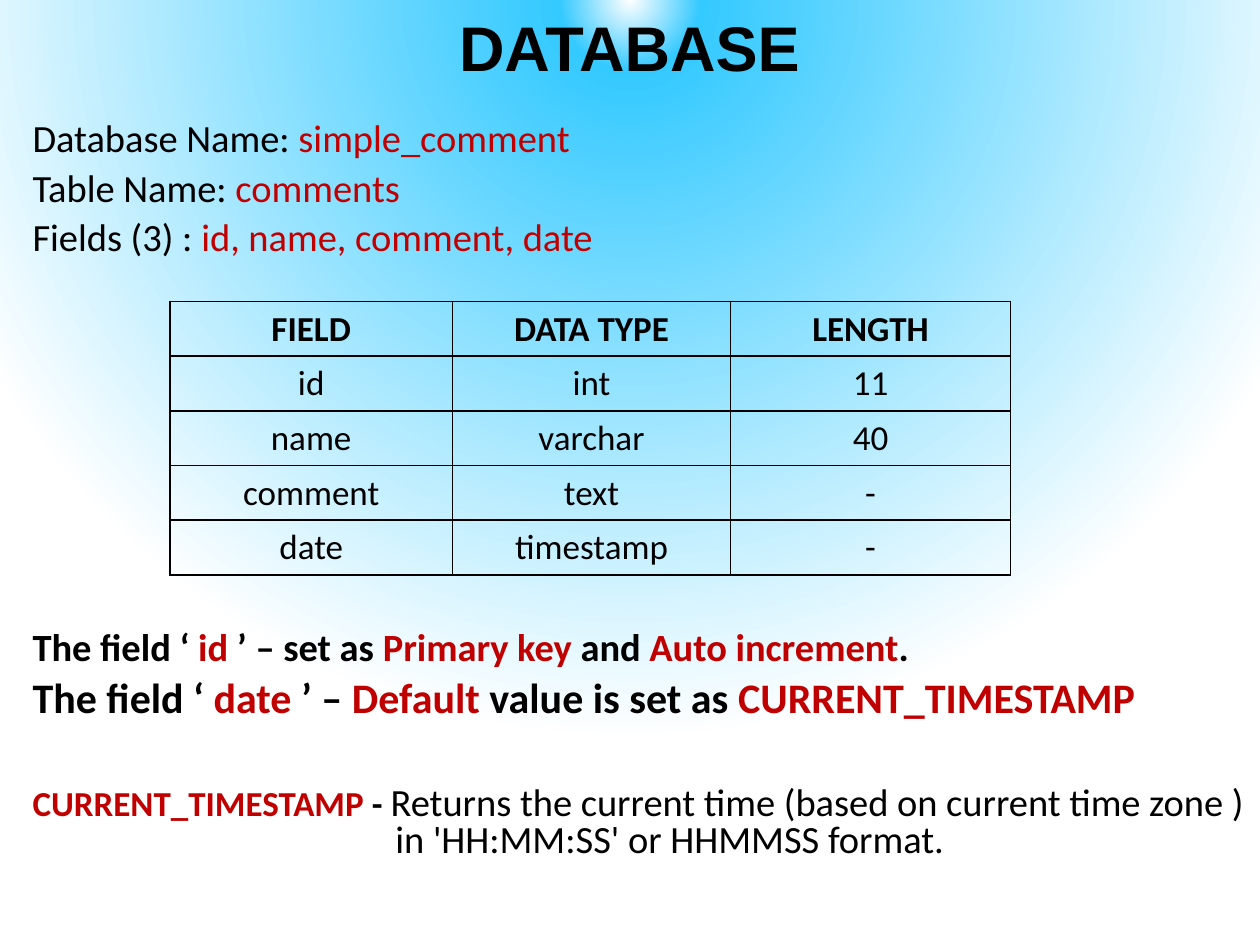
from dataclasses import dataclass
from typing import NamedTuple

from lxml import etree
from pptx import Presentation, util as u
from pptx.dml.color import RGBColor
from pptx.enum import text
from pptx.oxml import parse_xml
from pptx.oxml.ns import qn

WIDE, HIGH = 10, 7.5
NS = "http://schemas.openxmlformats.org/drawingml/2006/main"


@dataclass(frozen=True)
class Theme:
    ink: str = "000000"
    red: str = "C00000"
    stops: tuple = ((0, "FFFFFF"), (9, "34C9FF"), (94, "FFFFFF"))
    head: str = "Arial"
    body: str = "Calibri"
    title: int = 36
    big: int = 24
    text: int = 22
    small: int = 20


class Run(NamedTuple):
    words: str
    color: str
    size: int
    bold: bool = False


class Line(NamedTuple):
    runs: list
    gap: float = 7
    hang: float = 0


class Box(NamedTuple):
    """Left, top, width and height as shares of the slide."""
    x: float
    y: float
    w: float
    h: float

    def place(self) -> tuple:
        return (u.Inches(self.x * WIDE), u.Inches(self.y * HIGH),
                u.Inches(self.w * WIDE), u.Inches(self.h * HIGH))


T = Theme()


def style(obj, **vals) -> None:
    for key, val in vals.items():
        setattr(obj, key, val)


def add_run(para, run: Run, face: str = T.body) -> None:
    part = para.add_run()
    part.text = run.words
    style(part.font, name=face, size=u.Pt(run.size), bold=run.bold)
    part.font.color.rgb = RGBColor.from_string(run.color)


def add_text(slide, box: Box, lines: list, face: str = T.body, **frame) -> list:
    body = slide.shapes.add_textbox(*box.place()).text_frame
    style(body, word_wrap=True, **frame)
    paras = []
    for i, line in enumerate(lines):
        para = body.add_paragraph() if i else body.paragraphs[0]
        para.space_before = u.Pt(line.gap)
        if line.hang:
            inset = u.Inches(line.hang * WIDE)
            props = para._p.get_or_add_pPr()
            props.set("marL", str(inset))
            props.set("indent", str(-inset))
        for run in line.runs:
            add_run(para, run, face)
        paras.append(para)
    return paras


def mix(words: str, size: int, bold: bool = False) -> list:
    """Split at bars: black and red parts take turns, black first."""
    return [Run(part, (T.ink, T.red)[i % 2], size, bold)
            for i, part in enumerate(words.split("|")) if part]


def paint(slide) -> None:
    fill = slide.background.fill
    fill.solid()
    old = next(slide._element.iter(qn("a:solidFill")))
    stops = "".join(f'<a:gs pos="{pos * 1000}"><a:srgbClr val="{hue}"/></a:gs>'
                    for pos, hue in T.stops)
    glow = parse_xml(
        f'<a:gradFill xmlns:a="{NS}" rotWithShape="1"><a:gsLst>{stops}</a:gsLst>'
        '<a:path path="circle"><a:fillToRect l="50000" t="-80000" '
        'r="50000" b="180000"/></a:path></a:gradFill>')
    old.getparent().replace(old, glow)


def edge(cell) -> None:
    props = cell._tc.get_or_add_tcPr()
    for i, side in enumerate(("lnL", "lnR", "lnT", "lnB")):
        line = etree.Element(qn(f"a:{side}"), w=str(u.Pt(1)))
        fill = etree.SubElement(line, qn("a:solidFill"))
        etree.SubElement(fill, qn("a:srgbClr"), val=T.ink)
        props.insert(i, line)


def add_grid(slide, box: Box, rows: list, cols: tuple) -> None:
    grid = slide.shapes.add_table(len(rows), len(cols), *box.place()).table
    style(grid, first_row=False, horz_banding=False)
    for col, width in zip(grid.columns, cols):
        col.width = u.Inches(width * WIDE)
    for r, row in enumerate(rows):
        for c, words in enumerate(row):
            cell = grid.cell(r, c)
            cell.fill.background()
            edge(cell)
            para = cell.text_frame.paragraphs[0]
            para.alignment = text.PP_ALIGN.CENTER
            add_run(para, Run(words, T.ink, T.small, r == 0))


def main() -> None:
    deck = Presentation()
    style(deck, slide_width=u.Inches(WIDE), slide_height=u.Inches(HIGH))
    slide = deck.slides.add_slide(deck.slide_layouts[6])
    paint(slide)

    # Title
    title = add_text(slide, Box(0.053, 0, 0.893, 0.108),
                     [Line(mix("DATABASE", T.title, True), 0)], T.head,
                     vertical_anchor=text.MSO_ANCHOR.MIDDLE)
    style(title[0], alignment=text.PP_ALIGN.CENTER, line_spacing=0.9)

    # Facts above and below the table
    facts = [
        Line(mix("Database Name: |simple_comment", T.text)),
        Line(mix("Table Name: |comments", T.text)),
        Line(mix("Fields (3) : |id, name, comment, date", T.text)),
        Line(mix("The field ‘ |id| ’ – set as |Primary key |and "
                 "|Auto increment|.", T.text, True), gap=213.4),
        Line(mix("The field ‘ |date |’ – |Default| value is set as "
                 "|CURRENT_TIMESTAMP", T.big, True)),
        Line(mix("|CURRENT_TIMESTAMP |- ", T.small, True)
             + mix("Returns the current time (based on current time zone ) "
                   "in 'HH:MM:SS' or HHMMSS format.", T.text),
             gap=37.4, hang=0.288),
    ]
    for para in add_text(slide, Box(0.016, 0.124, 0.999, 0.876), facts):
        para.line_spacing = 0.8

    # Field table
    add_grid(slide, Box(0.135, 0.319, 0.667, 0.289), [
        ("FIELD", "DATA TYPE", "LENGTH"),
        ("id", "int", "11"),
        ("name", "varchar", "40"),
        ("comment", "text", "-"),
        ("date", "timestamp", "-"),
    ], (0.224, 0.221, 0.222))

    deck.save("out.pptx")


if __name__ == "__main__":
    main()
